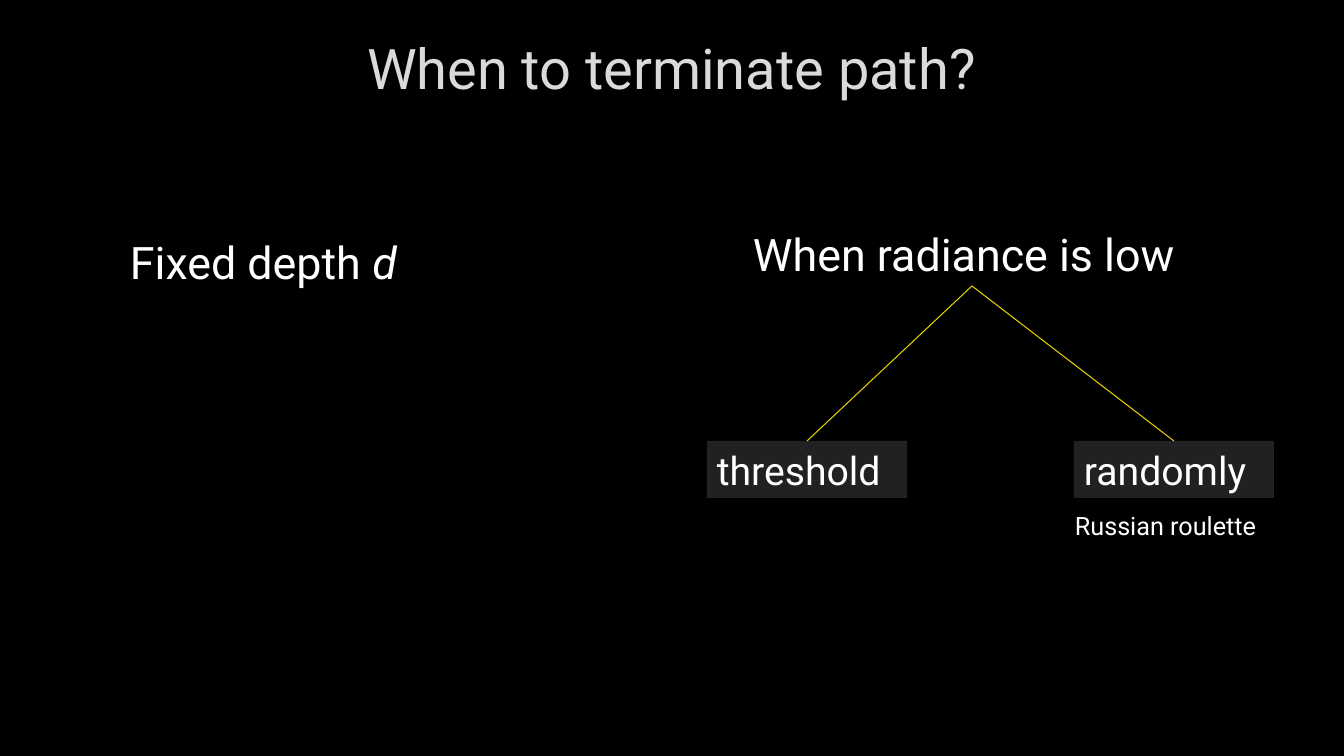
from dataclasses import dataclass

from lxml.etree import SubElement
from pptx import Presentation
from pptx.dml.color import RGBColor
from pptx.enum.shapes import MSO_CONNECTOR, MSO_SHAPE
from pptx.enum.text import MSO_ANCHOR, PP_ALIGN
from pptx.oxml.ns import qn
from pptx.util import Emu, Pt


@dataclass(frozen=True)
class Theme:
    font: str = "Roboto"
    background: str = "000000"
    title: str = "DADADA"
    text: str = "FFFFFF"
    option_fill: str = "212123"
    branch: str = "E5D100"
    title_size: int = 40
    heading_size: int = 32
    option_size: int = 28
    caption_size: int = 18
    branch_width: float = 0.75


THEME = Theme()
EMU_PER_PX = 914400 / 100.8


def px(length):
    return Emu(round(length * EMU_PER_PX))


def paint(fill, color):
    fill.solid()
    fill.fore_color.rgb = RGBColor.from_string(color)


def write(frame, runs, size, color=THEME.text, align=PP_ALIGN.LEFT, anchor=MSO_ANCHOR.TOP):
    """Fill a text frame with (text, italic) runs."""
    frame.word_wrap = True
    frame.vertical_anchor = anchor
    paragraph = frame.paragraphs[0]
    paragraph.alignment = align
    for text, italic in runs:
        run = paragraph.add_run()
        run.text = text
        run.font.name = THEME.font
        run.font.size = Pt(size)
        run.font.italic = italic
        run.font.color.rgb = RGBColor.from_string(color)


def add_label(slide, box, runs, size):
    label = slide.shapes.add_textbox(*map(px, box))
    write(label.text_frame, runs, size)


def add_option(slide, box, name):
    option = slide.shapes.add_shape(MSO_SHAPE.RECTANGLE, *map(px, box))
    option.shadow.inherit = False
    paint(option.fill, THEME.option_fill)
    option.line.fill.background()
    write(option.text_frame, [(name, False)], THEME.option_size)


def add_branch(slide, start, end):
    branch = slide.shapes.add_connector(MSO_CONNECTOR.STRAIGHT, *map(px, start + end))
    paint(branch.line.fill, THEME.branch)
    branch.line.width = Pt(THEME.branch_width)
    SubElement(branch._element.spPr, qn("a:effectLst"))


def place_title(slide, box):
    title = slide.shapes.title
    title.left, title.top, title.width, title.height = map(px, box)
    write(title.text_frame, [("When to terminate path?", False)], THEME.title_size,
          THEME.title, PP_ALIGN.CENTER, MSO_ANCHOR.MIDDLE)


def place_fixed_depth(slide, box):
    add_label(slide, box, [("Fixed depth ", False), ("d", True)], THEME.heading_size)


def place_radiance_tree(slide, box):
    left, top, width, height = box
    option_width, option_height = 200, 57
    option_top = top + 219
    heading_left, heading_width = left + 36, 457

    # Heading at the root
    add_label(slide, (heading_left, top, heading_width, 65),
              [("When radiance is low", False)], THEME.heading_size)

    # Options at both edges, each joined to the root
    root = (heading_left + heading_width // 2 + 1, top + 64)
    option_lefts = (left, left + width - option_width)
    for name, option_left in zip(("threshold", "randomly"), option_lefts):
        add_option(slide, (option_left, option_top, option_width, option_height), name)
        add_branch(slide, root, (option_left + option_width // 2, option_top))

    # Caption centred under the last option
    caption_width, caption_height = 217, 40
    caption_left = option_lefts[-1] + (option_width - caption_width) // 2
    add_label(slide, (caption_left, top + height - caption_height, caption_width, caption_height),
              [("Russian roulette", False)], THEME.caption_size)


def main():
    presentation = Presentation()
    presentation.slide_width, presentation.slide_height = px(1344), px(756)
    title_only = presentation.slide_layouts[5]
    slide = presentation.slides.add_slide(title_only)
    paint(slide.background.fill, THEME.background)

    place_title(slide, (101, 14, 1141, 107))
    place_fixed_depth(slide, (120, 230, 303, 65))
    place_radiance_tree(slide, (707, 222, 567, 323))
    presentation.save("out.pptx")


if __name__ == "__main__":
    main()
